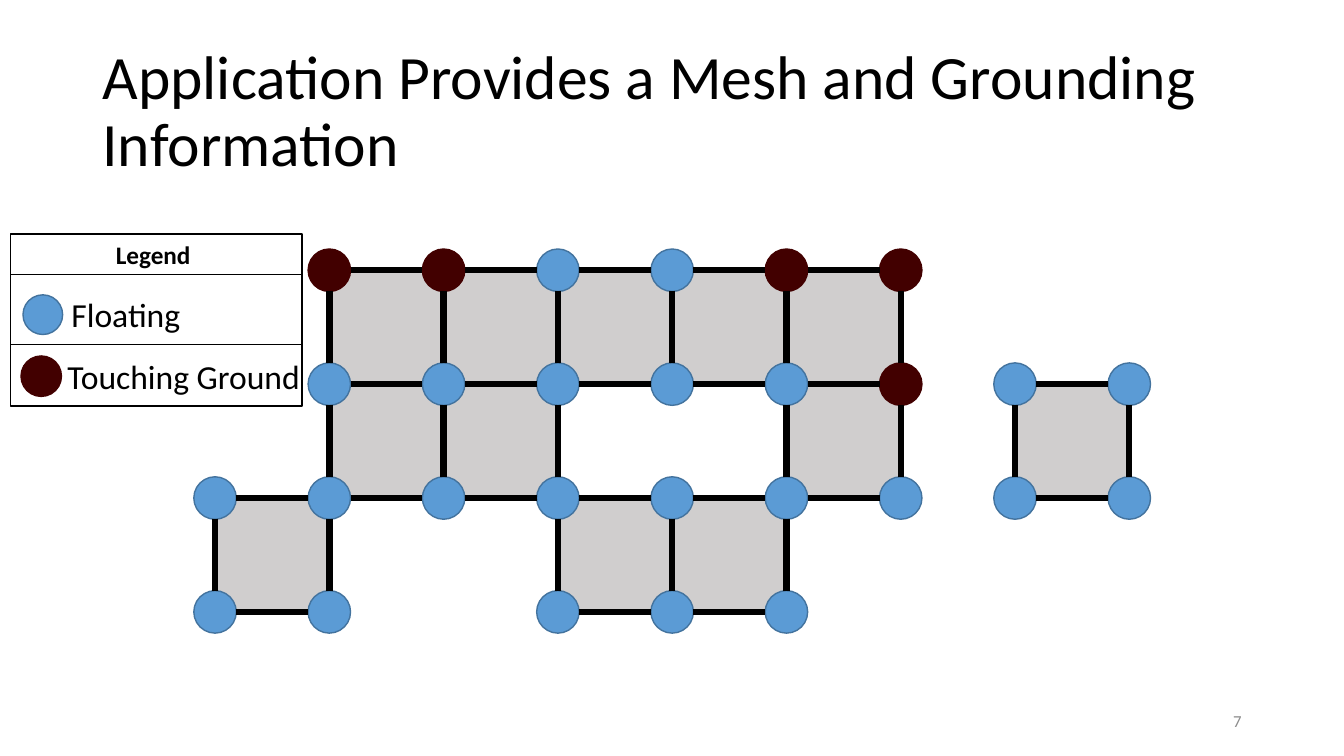
import dataclasses

import lxml.etree
import pptx
import pptx.dml.color
import pptx.enum.shapes
import pptx.enum.text
import pptx.oxml.ns
import pptx.slide
import pptx.util

Cm = pptx.util.Cm
Pt = pptx.util.Pt
RGBColor = pptx.dml.color.RGBColor
Shape = pptx.enum.shapes.MSO_SHAPE
Align = pptx.enum.text.PP_ALIGN
Anchor = pptx.enum.text.MSO_ANCHOR

BLACK = RGBColor(0x00, 0x00, 0x00)
GREY = RGBColor(0x8C, 0x8C, 0x8C)
CELL_GREY = RGBColor(0xD0, 0xCE, 0xCE)
FLOATING_BLUE = RGBColor(0x5B, 0x9B, 0xD5)
FLOATING_EDGE = RGBColor(0x43, 0x73, 0x9E)
GROUND_RED = RGBColor(0x42, 0x00, 0x00)

MESH_LEFT, MESH_TOP = 5.42, 6.81
COLUMN_STEP, ROW_STEP = 2.88, 2.87
NODE_SIZE = 1.07
LEGEND_LEFT, LEGEND_RIGHT = 0.26, 7.61


@dataclasses.dataclass(frozen=True)
class Patch:
    column: int
    row: int
    cells: int


@dataclasses.dataclass(frozen=True)
class NodeStyle:
    fill: RGBColor
    edge: RGBColor


@dataclasses.dataclass(frozen=True)
class LegendEntry:
    label: str
    style: NodeStyle
    node_left: float
    node_top: float
    node_size: float
    text_left: float
    text_top: float
    text_width: float


@dataclasses.dataclass(frozen=True, order=True)
class Edge:
    column: int
    row: int
    across: int
    down: int


FLOATING = NodeStyle(FLOATING_BLUE, FLOATING_EDGE)
GROUNDED = NodeStyle(GROUND_RED, GROUND_RED)

PATCHES = [
    Patch(1, 0, 5),
    Patch(1, 1, 2),
    Patch(5, 1, 1),
    Patch(3, 2, 2),
    Patch(7, 1, 1),
    Patch(0, 2, 1),
]
GROUNDED_NODES = {(1, 0), (2, 0), (5, 0), (6, 0), (6, 1)}
LEGEND = [
    LegendEntry("Floating", FLOATING, 0.58, 7.43, 1.0, 1.55, 7.29, 3.28),
    LegendEntry("Touching Ground", GROUNDED, 0.53, 8.97, 1.02, 1.45, 8.84, 6.43),
]


def node_x(column: int) -> float:
    return MESH_LEFT + column * COLUMN_STEP


def node_y(row: int) -> float:
    return MESH_TOP + row * ROW_STEP


def mesh_edges() -> list[Edge]:
    edges = set()
    for patch in PATCHES:
        for column in range(patch.column, patch.column + patch.cells):
            edges |= {Edge(column, patch.row + side, 1, 0) for side in (0, 1)}
            edges |= {Edge(column + side, patch.row, 0, 1) for side in (0, 1)}
    return sorted(edges)


def format_text(box, text: str, formats: dict, color: RGBColor = BLACK) -> None:
    box.text_frame.text = text
    span = box.text_frame.paragraphs[0].runs[0]
    for name, value in ({"name": "Calibri"} | formats).items():
        setattr(span.font, name, value)
    span.font.color.rgb = color


def add_text(page: pptx.slide.Slide, text: str, left: float, top: float, width: float,
             height: float, formats: dict, color: RGBColor = BLACK):
    box = page.shapes.add_textbox(Cm(left), Cm(top), Cm(width), Cm(height))
    box.text_frame.word_wrap = False
    format_text(box, text, formats, color)
    return box


def add_shape(page: pptx.slide.Slide, kind: Shape, left: float, top: float, width: float,
              height: float, fill: RGBColor | None, edge: RGBColor) -> None:
    shape = page.shapes.add_shape(kind, Cm(left), Cm(top), Cm(width), Cm(height))
    shape.shadow.inherit = False
    if fill is None:
        shape.fill.background()
    else:
        shape.fill.solid()
        shape.fill.fore_color.rgb = fill
    shape.line.color.rgb = edge
    shape.line.width = Pt(1)


def add_line(page: pptx.slide.Slide, x1: float, y1: float, x2: float, y2: float,
             width: float) -> None:
    line = page.shapes.add_connector(
        pptx.enum.shapes.MSO_CONNECTOR.STRAIGHT, Cm(x1), Cm(y1), Cm(x2), Cm(y2))
    line.line.color.rgb = BLACK
    line.line.width = Pt(width)
    lxml.etree.SubElement(line._element.spPr, pptx.oxml.ns.qn("a:effectLst"))


def draw_title(page: pptx.slide.Slide) -> None:
    title = page.shapes.title
    place = {"left": Cm(2.33), "top": Cm(1.01), "width": Cm(29.21), "height": Cm(3.68)}
    for name, value in place.items():
        setattr(title, name, value)
    format_text(title, "Application Provides a Mesh and Grounding Information",
                {"size": Pt(44)})
    frame = {"auto_size": pptx.enum.text.MSO_AUTO_SIZE.NONE,
             "vertical_anchor": Anchor.MIDDLE, "word_wrap": True}
    for name, value in frame.items():
        setattr(title.text_frame, name, value)
    para = title.text_frame.paragraphs[0]
    para.alignment = Align.LEFT
    para.line_spacing = 0.9


def draw_mesh(page: pptx.slide.Slide) -> None:
    for patch in PATCHES:
        add_shape(page, Shape.RECTANGLE, node_x(patch.column), node_y(patch.row),
                  patch.cells * COLUMN_STEP, ROW_STEP, CELL_GREY, CELL_GREY)
    edges = mesh_edges()
    starts = {(edge.column, edge.row) for edge in edges}
    ends = {(edge.column + edge.across, edge.row + edge.down) for edge in edges}
    radius = NODE_SIZE / 2
    for column, row in sorted(starts | ends):
        style = GROUNDED if (column, row) in GROUNDED_NODES else FLOATING
        add_shape(page, Shape.OVAL, node_x(column) - radius, node_y(row) - radius,
                  NODE_SIZE, NODE_SIZE, style.fill, style.edge)
    for edge in edges:
        add_line(page,
                 node_x(edge.column) + radius * edge.across,
                 node_y(edge.row) + radius * edge.down,
                 node_x(edge.column + edge.across) - radius * edge.across,
                 node_y(edge.row + edge.down) - radius * edge.down, 4.5)


def draw_legend(page: pptx.slide.Slide) -> None:
    for entry in LEGEND:
        add_shape(page, Shape.OVAL, entry.node_left, entry.node_top, entry.node_size,
                  entry.node_size, entry.style.fill, entry.style.edge)
        add_text(page, entry.label, entry.text_left, entry.text_top, entry.text_width,
                 1.28, {"size": Pt(24)})
    add_shape(page, Shape.RECTANGLE, LEGEND_LEFT, 5.9, LEGEND_RIGHT - LEGEND_LEFT, 4.33,
              None, BLACK)
    add_text(page, "Legend", 2.67, 5.9, 2.41, 1.03, {"size": Pt(18), "bold": True})
    for divider in (6.92, 8.67):
        add_line(page, LEGEND_LEFT, divider, LEGEND_RIGHT, divider, 0.5)


def main() -> None:
    deck = pptx.Presentation()
    deck.slide_width, deck.slide_height = Cm(33.87), Cm(19.05)
    page = deck.slides.add_slide(deck.slide_layouts[5])
    draw_title(page)
    draw_mesh(page)
    draw_legend(page)
    number = add_text(page, "7", 23.92, 17.66, 7.62, 1.01, {"size": Pt(12)}, GREY)
    number.text_frame.word_wrap = True
    number.text_frame.vertical_anchor = Anchor.MIDDLE
    number.text_frame.paragraphs[0].alignment = Align.RIGHT
    deck.save("out.pptx")


if __name__ == "__main__":
    main()
